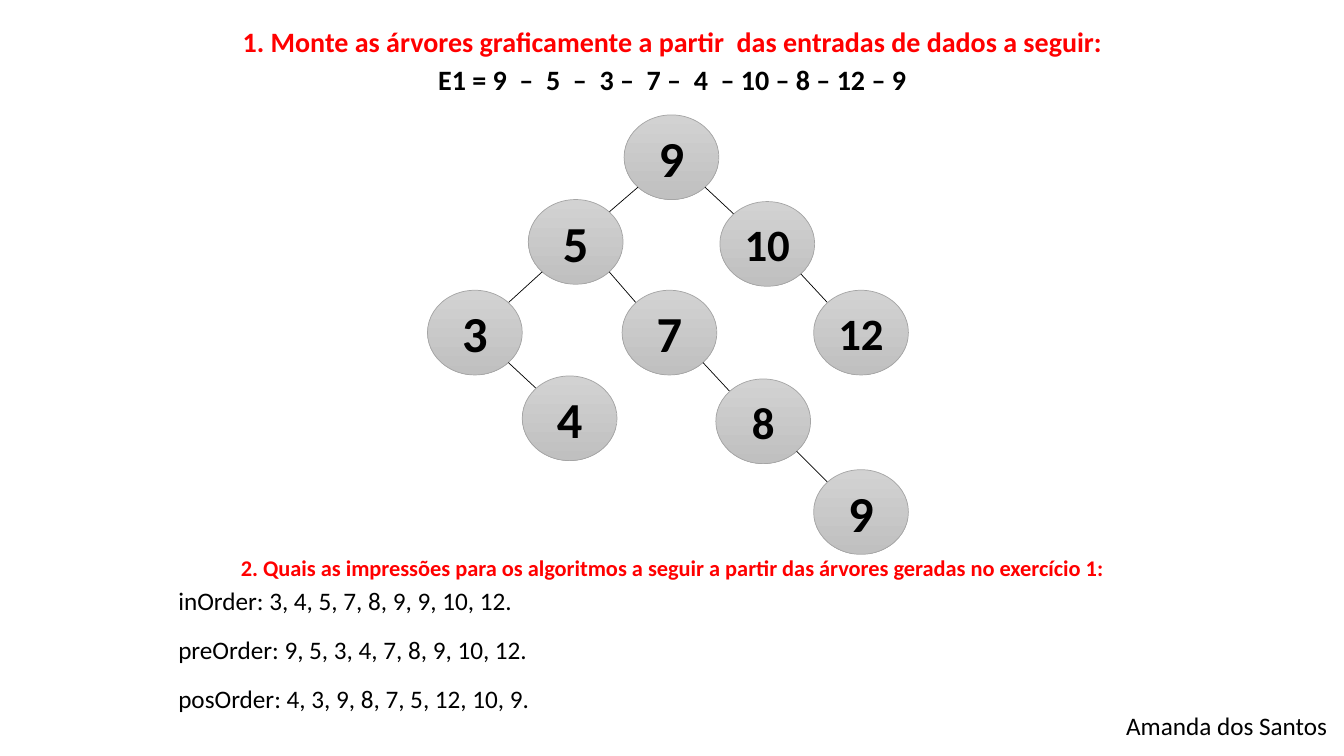
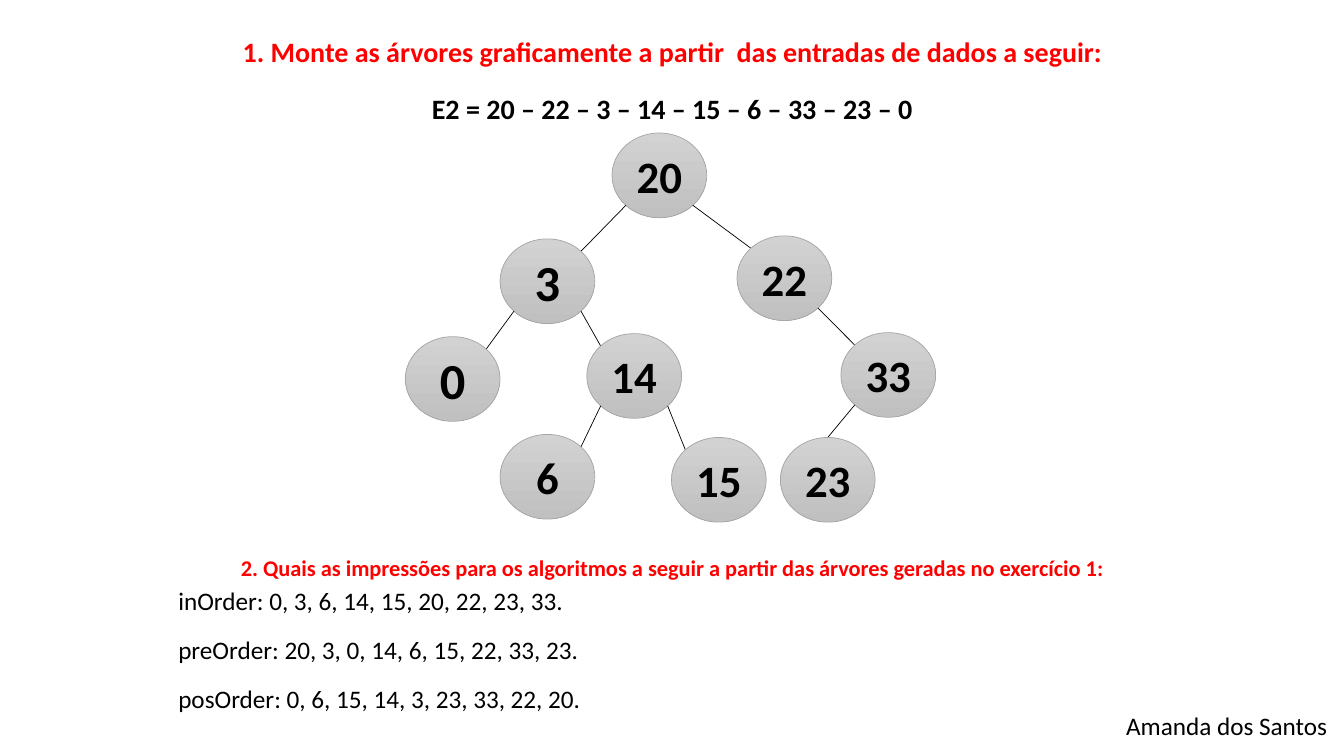
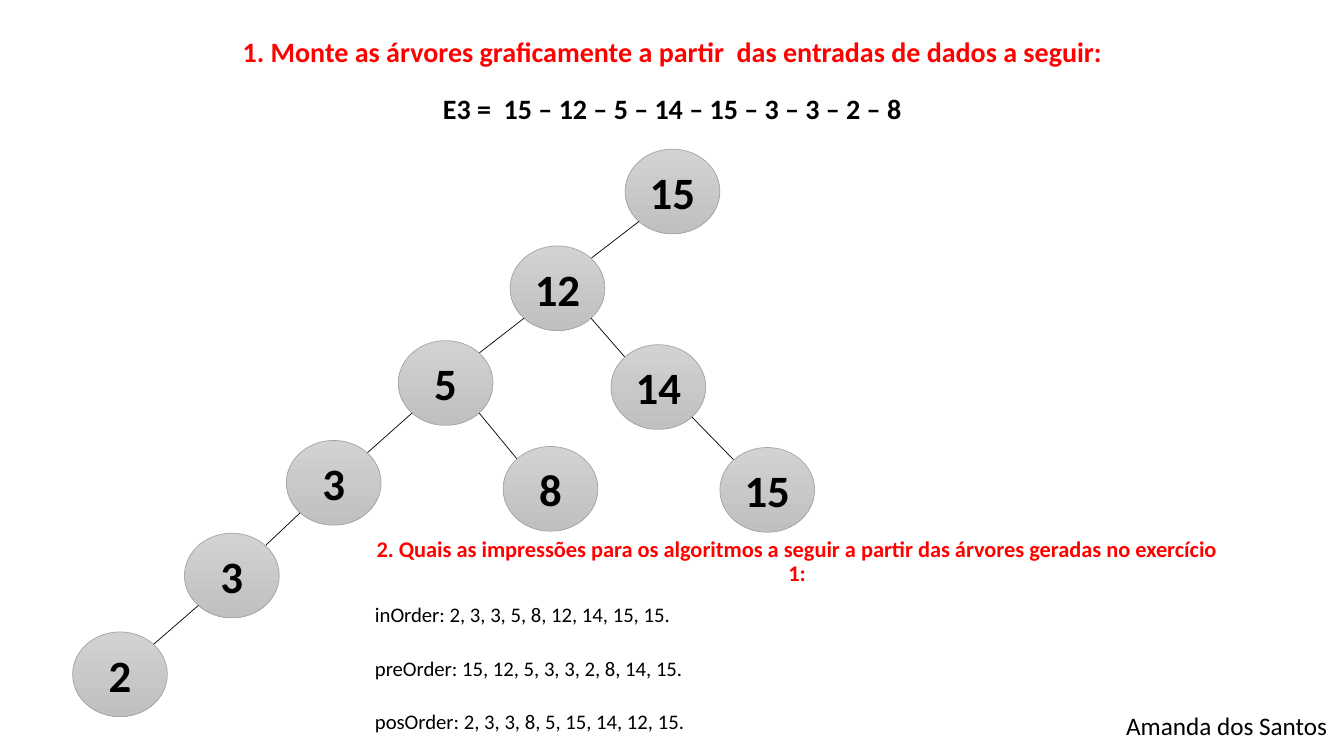
from dataclasses import dataclass
from math import sqrt

from lxml.etree import SubElement
from pptx import Presentation
from pptx.dml.color import RGBColor
from pptx.enum.shapes import MSO_CONNECTOR, MSO_SHAPE
from pptx.enum.text import MSO_ANCHOR, PP_ALIGN
from pptx.oxml.ns import qn
from pptx.util import Inches, Pt


@dataclass(frozen=True)
class Theme:
    font: str = "Calibri"
    heading: RGBColor = RGBColor(0xFF, 0x00, 0x00)
    ink: RGBColor = RGBColor(0x00, 0x00, 0x00)
    node_top: RGBColor = RGBColor(0xD2, 0xD2, 0xD2)
    node_bottom: RGBColor = RGBColor(0xC0, 0xC0, 0xC0)
    node_outline: RGBColor = RGBColor(0xA5, 0xA5, 0xA5)
    stroke: float = 0.5
    title_size: int = 20
    question_size: int = 16
    author_size: int = 18
    large: int = 36
    medium: int = 32


@dataclass(frozen=True)
class Node:
    label: str
    size: int
    dx: float = 0
    dy: float = 0
    children: tuple = ()


@dataclass(frozen=True)
class Exercise:
    entries: str
    root: Node
    root_at: tuple
    title_box: tuple
    entries_box: tuple
    question_box: tuple
    answers_box: tuple
    answers_size: float
    answers_gap: float


THEME = Theme()
LARGE, MEDIUM = THEME.large, THEME.medium
NODE_WIDTH, NODE_HEIGHT = 0.94, 0.84
TITLE = "1. Monte as árvores graficamente a partir  das entradas de dados a seguir:"
QUESTION = ("2. Quais as impressões para os algoritmos a seguir "
            "a partir das árvores geradas no exercício 1:")
AUTHOR = "Amanda dos Santos"
AUTHOR_BOX = (11.07, 7, 2.22, 0.4)


def style_text(paragraph, size, color, bold=False):
    for run in paragraph.runs:
        run.font.name = THEME.font
        run.font.size = Pt(size)
        run.font.bold = bold
        run.font.color.rgb = color


def add_text(slide, box, lines, size, color=THEME.ink, bold=False,
             align=PP_ALIGN.LEFT, anchor=MSO_ANCHOR.TOP, spacing=1.0, gap=0, wrap=True):
    frame = slide.shapes.add_textbox(*map(Inches, box)).text_frame
    frame.word_wrap = wrap
    frame.vertical_anchor = anchor
    frame.text = "\n".join(lines)
    for index, paragraph in enumerate(frame.paragraphs):
        paragraph.alignment = align
        paragraph.line_spacing = spacing
        paragraph.space_before = Pt(gap if index else 0)
        style_text(paragraph, size, color, bold)


def add_heading(slide, box, wording, size, color):
    add_text(slide, box, [wording], size, color, bold=True, align=PP_ALIGN.CENTER,
             anchor=MSO_ANCHOR.BOTTOM, spacing=0.9)


def add_node(slide, node, left, top):
    oval = slide.shapes.add_shape(MSO_SHAPE.OVAL, Inches(left), Inches(top),
                                  Inches(NODE_WIDTH), Inches(NODE_HEIGHT))
    oval.shadow.inherit = False
    oval.fill.gradient()
    oval.fill.gradient_angle = 270
    for stop, color in zip(oval.fill.gradient_stops, (THEME.node_top, THEME.node_bottom)):
        stop.color.rgb = color
    oval.line.color.rgb = THEME.node_outline
    oval.line.width = Pt(THEME.stroke)
    frame = oval.text_frame
    frame.vertical_anchor = MSO_ANCHOR.MIDDLE
    frame.text = node.label
    frame.paragraphs[0].alignment = PP_ALIGN.CENTER
    style_text(frame.paragraphs[0], node.size, THEME.ink, bold=True)


def rim_point(left, top, across, down):
    return (left + NODE_WIDTH / 2 * (1 + across), top + NODE_HEIGHT / 2 * (1 + down))


def add_branch(slide, child, left, top):
    diagonal = 1 / sqrt(2)
    side = diagonal if child.dx > 0 else -diagonal
    start = rim_point(left, top, side, diagonal)
    child_at = (left + child.dx, top + child.dy)
    if abs(child.dx) < NODE_WIDTH * diagonal:
        end = rim_point(*child_at, 0, -1)
    else:
        end = rim_point(*child_at, -side, -diagonal)
    branch = slide.shapes.add_connector(MSO_CONNECTOR.STRAIGHT, *map(Inches, start + end))
    branch.line.color.rgb = THEME.ink
    branch.line.width = Pt(THEME.stroke)
    SubElement(branch._element.spPr, qn("a:effectLst"))


def add_tree(slide, node, left, top):
    add_node(slide, node, left, top)
    for child in node.children:
        add_branch(slide, child, left, top)
        add_tree(slide, child, left + child.dx, top + child.dy)


def visit(node, order):
    before = [label for child in node.children if child.dx < 0 for label in visit(child, order)]
    after = [label for child in node.children if child.dx > 0 for label in visit(child, order)]
    return {"inOrder": before + [node.label] + after,
            "preOrder": [node.label] + before + after,
            "posOrder": before + after + [node.label]}[order]


def add_answers(slide, box, exercise):
    answers = [f"{order}: {', '.join(visit(exercise.root, order))}."
               for order in ("inOrder", "preOrder", "posOrder")]
    add_text(slide, box, answers, exercise.answers_size, spacing=0.8, gap=exercise.answers_gap)


def add_exercise_slide(deck, exercise):
    slide = deck.slides.add_slide(deck.slide_layouts[6])
    add_heading(slide, exercise.title_box, TITLE, THEME.title_size, THEME.heading)
    add_heading(slide, exercise.entries_box, exercise.entries, THEME.title_size, THEME.ink)
    add_tree(slide, exercise.root, *exercise.root_at)
    add_heading(slide, exercise.question_box, QUESTION, THEME.question_size, THEME.heading)
    add_answers(slide, exercise.answers_box, exercise)
    add_text(slide, AUTHOR_BOX, [AUTHOR], THEME.author_size, wrap=False)


FIRST_TREE = Node("9", LARGE, children=(
    Node("5", LARGE, -0.95, 0.84, (
        Node("3", LARGE, -1, 0.9, (
            Node("4", LARGE, 0.94, 0.85),)),
        Node("7", LARGE, 0.93, 0.9, (
            Node("8", MEDIUM, 0.93, 0.88, (
                Node("9", LARGE, 0.97, 0.9),)),)))),
    Node("10", MEDIUM, 0.95, 0.86, (
        Node("12", MEDIUM, 0.93, 0.88),))))

SECOND_TREE = Node("20", MEDIUM, children=(
    Node("3", LARGE, -1.11, 1.05, (
        Node("0", LARGE, -0.94, 0.97),
        Node("14", MEDIUM, 0.86, 0.94, (
            Node("6", MEDIUM, -0.86, 1),
            Node("15", MEDIUM, 0.84, 1.03))))),
    Node("22", MEDIUM, 1.24, 1.02, (
        Node("33", MEDIUM, 1.03, 0.96, (
            Node("23", MEDIUM, -0.6, 1.04),)),))))

THIRD_TREE = Node("15", MEDIUM, children=(
    Node("12", MEDIUM, -1.14, 0.96, (
        Node("5", MEDIUM, -1.11, 0.94, (
            Node("3", MEDIUM, -1.11, 0.99, (
                Node("3", MEDIUM, -1.01, 0.92, (
                    Node("2", MEDIUM, -1.11, 0.98),)),)),
            Node("8", MEDIUM, 1.04, 1.05))),
        Node("14", MEDIUM, 1, 0.98, (
            Node("15", MEDIUM, 1.08, 1.02),)))),))

HIGH_TITLE, HIGH_ENTRIES = (1.67, 0.19, 10, 0.44), (1.67, 0.57, 10, 0.44)
LOW_TITLE, LOW_ENTRIES = (1.67, 0.29, 10, 0.44), (1.67, 0.85, 10, 0.44)
WIDE_QUESTION, WIDE_ANSWERS = (1.67, 5.43, 10, 0.39), (1.67, 5.82, 10, 1.44)
SIDE_QUESTION, SIDE_ANSWERS = (3.62, 5.48, 8.57, 0.39), (3.62, 5.97, 8.38, 1.44)

EXERCISES = (
    Exercise("E1 = 9  –  5  –  3 –  7 –  4  – 10 – 8 – 12 – 9", FIRST_TREE, (6.19, 1.14),
             HIGH_TITLE, HIGH_ENTRIES, WIDE_QUESTION, WIDE_ANSWERS, 18, 17.5),
    Exercise("E2 = 20 – 22 – 3 – 14 – 15 – 6 – 33 – 23 – 0", SECOND_TREE, (6.07, 1.32),
             LOW_TITLE, LOW_ENTRIES, WIDE_QUESTION, WIDE_ANSWERS, 18, 17.5),
    Exercise("E3 =  15 – 12 – 5 – 14 – 15 – 3 – 3 – 2 – 8", THIRD_TREE, (6.2, 1.48),
             LOW_TITLE, LOW_ENTRIES, SIDE_QUESTION, SIDE_ANSWERS, 14.8, 24),
)

deck = Presentation()
deck.slide_width, deck.slide_height = Inches(13.33), Inches(7.5)
for exercise in EXERCISES:
    add_exercise_slide(deck, exercise)
deck.save("out.pptx")
